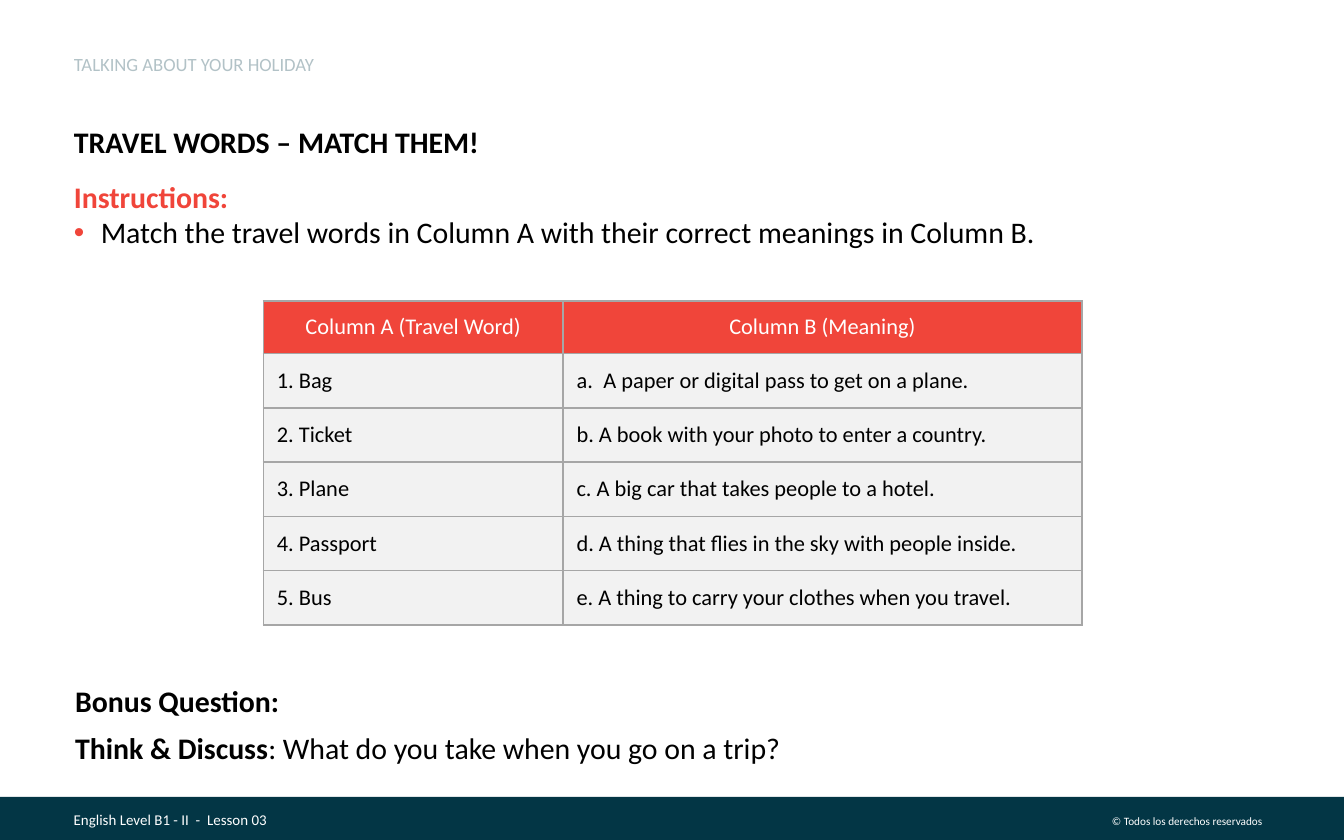
from lxml import etree
from pptx import Presentation
from pptx.dml.color import RGBColor
from pptx.enum import text as t
from pptx.oxml import ns
from pptx.util import Inches, Pt

# Content
LESSON = "English Level B1 - II  -  Lesson 03"
RIGHTS = "© Todos los derechos reservados"
TOPIC = "TALKING ABOUT YOUR HOLIDAY"
HEADING = "TRAVEL WORDS – MATCH THEM!"
INSTRUCTIONS = "Instructions:"
TASK = "Match the travel words in Column A with their correct meanings in Column B."
HEADER = ("Column A (Travel Word)", "Column B (Meaning)")
PAIRS = [
    ("1. Bag", "A paper or digital pass to get on a plane."),
    ("2. Ticket", "b. A book with your photo to enter a country."),
    ("3. Plane", "c. A big car that takes people to a hotel."),
    ("4. Passport", "d. A thing that flies in the sky with people inside."),
    ("5. Bus", "e. A thing to carry your clothes when you travel."),
]
BONUS = [["Bonus Question:"],
         ["Think & Discuss", ": What do you take when you go on a trip?"]]

# Look
FONT = "Calibri"
RED, BLACK, WHITE = "F0453A", "000000", "FFFFFF"
TEAL, LIGHT, BORDER = "033645", "F2F2F2", "A6A6A6"
COLUMN_WIDTHS = (2.23, 3.86)
HEADER_HEIGHT, ROW_HEIGHT = 0.39, 0.404


def rgb(value):
    return RGBColor.from_string(value)


def add_xml(parent, tag, **attributes):
    return etree.SubElement(parent, ns.qn(tag), attributes)


def style(paragraph, size, color, bold=False, align=t.PP_ALIGN.LEFT, after=0):
    paragraph.alignment = align
    paragraph.space_before, paragraph.space_after = Pt(0), Pt(after)
    for run in paragraph.runs:
        font = run.font
        font.name, font.size, font.bold = FONT, Pt(size), bold
        font.color.rgb = rgb(color)


def set_bullet(paragraph, tag=None, color=BLACK, **attributes):
    """Give a 0.2 inch hanging bullet, or none when no tag is given."""
    props = paragraph._p.get_or_add_pPr()
    indent = Inches(0.2) if tag else 0
    props.set("marL", str(indent))
    props.set("indent", str(-indent))
    if tag:
        add_xml(add_xml(props, "a:buClr"), "a:srgbClr", val=color)
        add_xml(props, "a:buFont", typeface="Arial" if tag == "a:buChar" else FONT)
    add_xml(props, tag or "a:buNone", **attributes)


def place(shape, left, top, width, height):
    shape.left, shape.top = Inches(left), Inches(top)
    shape.width, shape.height = Inches(width), Inches(height)


def set_frame(frame, anchor=t.MSO_ANCHOR.TOP, bottom=0):
    frame.word_wrap, frame.auto_size = True, t.MSO_AUTO_SIZE.SHAPE_TO_FIT_TEXT
    frame.vertical_anchor = anchor
    frame.margin_left = frame.margin_right = frame.margin_top = 0
    frame.margin_bottom = Inches(bottom)


def add_textbox(slide, *box):
    frame = slide.shapes.add_textbox(*map(Inches, box)).text_frame
    frame.word_wrap = True
    return frame


def add_borders(cell):
    props = cell._tc.get_or_add_tcPr()
    for position, side in enumerate(("a:lnL", "a:lnR", "a:lnT", "a:lnB")):
        line = add_xml(props, side, w=str(Pt(1)))
        add_xml(add_xml(line, "a:solidFill"), "a:srgbClr", val=BORDER)
        props.insert(position, line)


def add_footer(slide):
    band = slide.shapes.add_shape(1, 0, Inches(5.93), Inches(10), Inches(0.32))
    band.shadow.inherit = False
    band.fill.solid()
    band.fill.fore_color.rgb = rgb(TEAL)
    band.line.fill.background()
    for words, box, size, align in (
            (RIGHTS, (7.99, 6.01, 1.5, 0.2), 6, t.PP_ALIGN.RIGHT),
            (LESSON, (0.45, 5.98, 3.47, 0.24), 8, t.PP_ALIGN.LEFT)):
        frame = add_textbox(slide, *box)
        frame.text = words
        style(frame.paragraphs[0], size, WHITE, align=align)


def add_matching_table(slide):
    rows = [HEADER] + PAIRS
    height = HEADER_HEIGHT + ROW_HEIGHT * len(PAIRS)
    table = slide.shapes.add_table(
        len(rows), len(HEADER), Inches(1.96), Inches(2.24),
        Inches(sum(COLUMN_WIDTHS)), Inches(height)).table
    table.horz_banding = False
    for column, width in zip(table.columns, COLUMN_WIDTHS):
        column.width = Inches(width)
    for r, row in enumerate(rows):
        table.rows[r].height = Inches(ROW_HEIGHT if r else HEADER_HEIGHT)
        for c, words in enumerate(row):
            cell = table.cell(r, c)
            cell.text = words
            cell.vertical_anchor = t.MSO_ANCHOR.MIDDLE
            cell.fill.solid()
            cell.fill.fore_color.rgb = rgb(LIGHT if r else RED)
            add_borders(cell)
            paragraph = cell.text_frame.paragraphs[0]
            if (r, c) == (1, 1):  # the first meaning is numbered automatically
                set_bullet(paragraph, "a:buAutoNum", type="alphaLcPeriod")
            style(paragraph, 12, BLACK if r else WHITE,
                  align=t.PP_ALIGN.LEFT if r else t.PP_ALIGN.CENTER)


def main():
    deck = Presentation()
    deck.slide_width, deck.slide_height = Inches(10), Inches(6.25)
    slide = deck.slides.add_slide(deck.slide_layouts[1])
    topic, instructions = slide.placeholders

    add_footer(slide)
    add_matching_table(slide)

    # Heading and instructions
    place(instructions, 0.55, 0.92, 8.9, 0.95)
    frame = instructions.text_frame
    set_frame(frame)
    frame.text = "\n".join((HEADING, INSTRUCTIONS, TASK))
    heading, label, task = frame.paragraphs
    set_bullet(heading)
    set_bullet(label)
    set_bullet(task, "a:buChar", RED, char="•")
    style(heading, 16, BLACK, bold=True, after=10)
    style(label, 16, RED, bold=True)
    style(task, 16, BLACK)

    # Topic line, mostly transparent
    place(topic, 0.55, 0.41, 4.45, 0.15)
    set_frame(topic.text_frame, t.MSO_ANCHOR.BOTTOM)
    topic.text_frame.text = TOPIC
    line = topic.text_frame.paragraphs[0]
    style(line, 10, "033646")
    line.line_spacing = 0.9
    add_xml(line._p.find(".//" + ns.qn("a:srgbClr")), "a:alpha", val="29000")

    # Bonus question
    frame = add_textbox(slide, 0.56, 5.08, 6.69, 0.76)
    set_frame(frame, bottom=0.05)
    for i, parts in enumerate(BONUS):
        paragraph = frame.add_paragraph() if i else frame.paragraphs[0]
        for words in parts:
            paragraph.add_run().text = words
        style(paragraph, 16, BLACK, after=6)
        paragraph.runs[0].font.bold = True

    deck.save("out.pptx")


if __name__ == "__main__":
    main()
